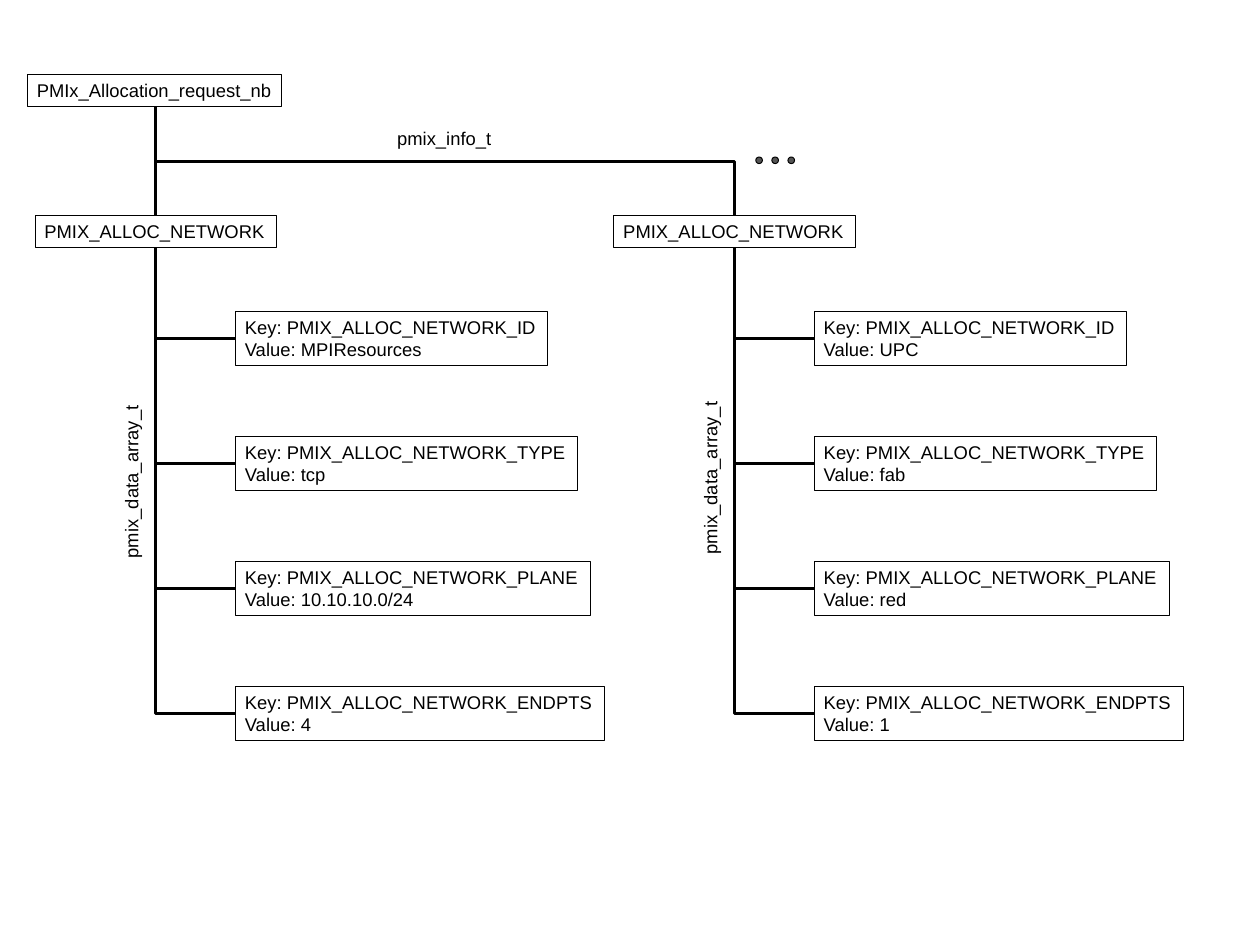
import dataclasses
import typing

import pptx
import pptx.dml.color
import pptx.enum.shapes
import pptx.enum.text
import pptx.oxml.ns
import pptx.util

Inches = pptx.util.Inches
Pt = pptx.util.Pt
RGB = pptx.dml.color.RGBColor
SHAPE = pptx.enum.shapes.MSO_SHAPE
CONNECTOR = pptx.enum.shapes.MSO_CONNECTOR
qn = pptx.oxml.ns.qn


@dataclasses.dataclass(frozen=True)
class Theme:
    ink: RGB = RGB(0x00, 0x00, 0x00)
    dot: RGB = RGB(0x55, 0x55, 0x55)
    font: str = "Arial"
    size: Pt = Pt(14)
    outline: Pt = Pt(0.75)
    link: Pt = Pt(2.25)


@dataclasses.dataclass(frozen=True)
class Network:
    left: float
    label_top: float
    values: tuple[str, ...]


class Point(typing.NamedTuple):
    x: float
    y: float


THEME = Theme()
TEXT_FORMAT = {"name": THEME.font, "size": THEME.size}
FRAME_FORMAT = {
    "word_wrap": False,
    "auto_size": pptx.enum.text.MSO_AUTO_SIZE.SHAPE_TO_FIT_TEXT,
    "vertical_anchor": pptx.enum.text.MSO_ANCHOR.TOP,
}

# Layout: one-line and two-line boxes, and the rows of attributes
LINE_H, PAIR_H = 0.34, 0.57
NETWORK_TOP, NETWORK_W = 2.28, 2.55
ROW_TOP, ROW_STEP = 3.29, 3.97 / 3
SPINE_DX, ROW_DX = 1.27, 2.12
ROWS = (("ID", 3.3), ("TYPE", 3.62), ("PLANE", 3.75), ("ENDPTS", 3.9))
NETWORKS = (
    Network(0.37, 4.92, ("MPIResources", "tcp", "10.10.10.0/24", "4")),
    Network(6.49, 4.88, ("UPC", "fab", "red", "1")),
)
ROOT = Point(1.64, 1.13)


def apply(target: typing.Any, values: dict[str, typing.Any]) -> None:
    for name, value in values.items():
        setattr(target, name, value)


def write(sp, *lines: str) -> None:
    tf = sp.text_frame
    apply(tf, FRAME_FORMAT)
    for i, line in enumerate(lines):
        p = tf.paragraphs[0] if i == 0 else tf.add_paragraph()
        p.alignment = pptx.enum.text.PP_ALIGN.LEFT
        r = p.add_run()
        r.text = line
        apply(r.font, TEXT_FORMAT)
        r.font.color.rgb = THEME.ink


def add_outlined(s, kind: SHAPE, x: float, y: float, w: float, h: float):
    sp = s.shapes.add_shape(kind, Inches(x), Inches(y), Inches(w), Inches(h))
    sp.shadow.inherit = False
    sp.fill.background()
    sp.line.color.rgb = THEME.ink
    sp.line.width = THEME.outline
    return sp


def add_box(s, x: float, y: float, w: float, *lines: str) -> None:
    h = LINE_H if len(lines) == 1 else PAIR_H
    write(add_outlined(s, SHAPE.RECTANGLE, x, y, w, h), *lines)


def add_label(s, x: float, y: float, w: float, text: str, rotation: int = 0) -> None:
    sp = s.shapes.add_textbox(Inches(x), Inches(y), Inches(w), Inches(LINE_H))
    sp.rotation = rotation
    write(sp, text)


def add_link(s, kind: CONNECTOR, start: Point, end: Point):
    c = s.shapes.add_connector(kind, *(Inches(v) for v in (*start, *end)))
    c.line.color.rgb = THEME.ink
    c.line.width = THEME.link
    c._element.spPr.append(c._element.makeelement(qn("a:effectLst"), {}))
    return c


def add_elbow(s, start: Point, end: Point, preset: str) -> None:
    """Elbow that leaves start downwards: a turned and mirrored connector."""
    mid_x, mid_y = (start.x + end.x) / 2, (start.y + end.y) / 2
    half_w, half_h = (end.y - start.y) / 2, (end.x - start.x) / 2
    c = add_link(s, CONNECTOR.ELBOW, Point(mid_x - half_w, mid_y - half_h),
                 Point(mid_x + half_w, mid_y + half_h))
    xfrm = c._element.spPr.find(qn("a:xfrm"))
    xfrm.set("rot", "16200000")
    xfrm.set("flipH", "1")
    c._element.spPr.find(qn("a:prstGeom")).set("prst", preset)


def add_network(s, network: Network) -> None:
    add_box(s, network.left, NETWORK_TOP, NETWORK_W, "PMIX_ALLOC_NETWORK")
    add_label(s, network.left + 0.11, network.label_top, 1.82, "pmix_data_array_t", 270)
    spine = Point(network.left + SPINE_DX, NETWORK_TOP + LINE_H)
    x = network.left + ROW_DX
    for i, ((key, width), value) in enumerate(zip(ROWS, network.values)):
        y = ROW_TOP + i * ROW_STEP
        add_box(s, x, y, width, f"Key: PMIX_ALLOC_NETWORK_{key}", f"Value: {value}")
        add_elbow(s, spine, Point(x, y + PAIR_H / 2), "bentConnector2")


def main() -> None:
    prs = pptx.Presentation()
    apply(prs, {"slide_width": Inches(13.32), "slide_height": Inches(9.99)})
    s = prs.slides.add_slide(prs.slide_layouts[6])

    # The two networks with their attributes
    for network in NETWORKS:
        add_network(s, network)

    # Request and its links to the networks
    add_box(s, 0.29, 0.79, 2.69, "PMIx_Allocation_request_nb")
    first, second = (Point(n.left + SPINE_DX, NETWORK_TOP) for n in NETWORKS)
    add_link(s, CONNECTOR.STRAIGHT, ROOT, first)
    add_elbow(s, ROOT, second, "bentConnector3")
    add_label(s, 4.1, 1.29, 1.2, "pmix_info_t")

    # Ellipsis for further networks
    for i in range(3):
        dot = add_outlined(s, SHAPE.OVAL, 7.99 + 0.17 * i, 1.66, 0.07, 0.07)
        dot.fill.solid()
        dot.fill.fore_color.rgb = THEME.dot

    prs.save("out.pptx")


if __name__ == "__main__":
    main()
